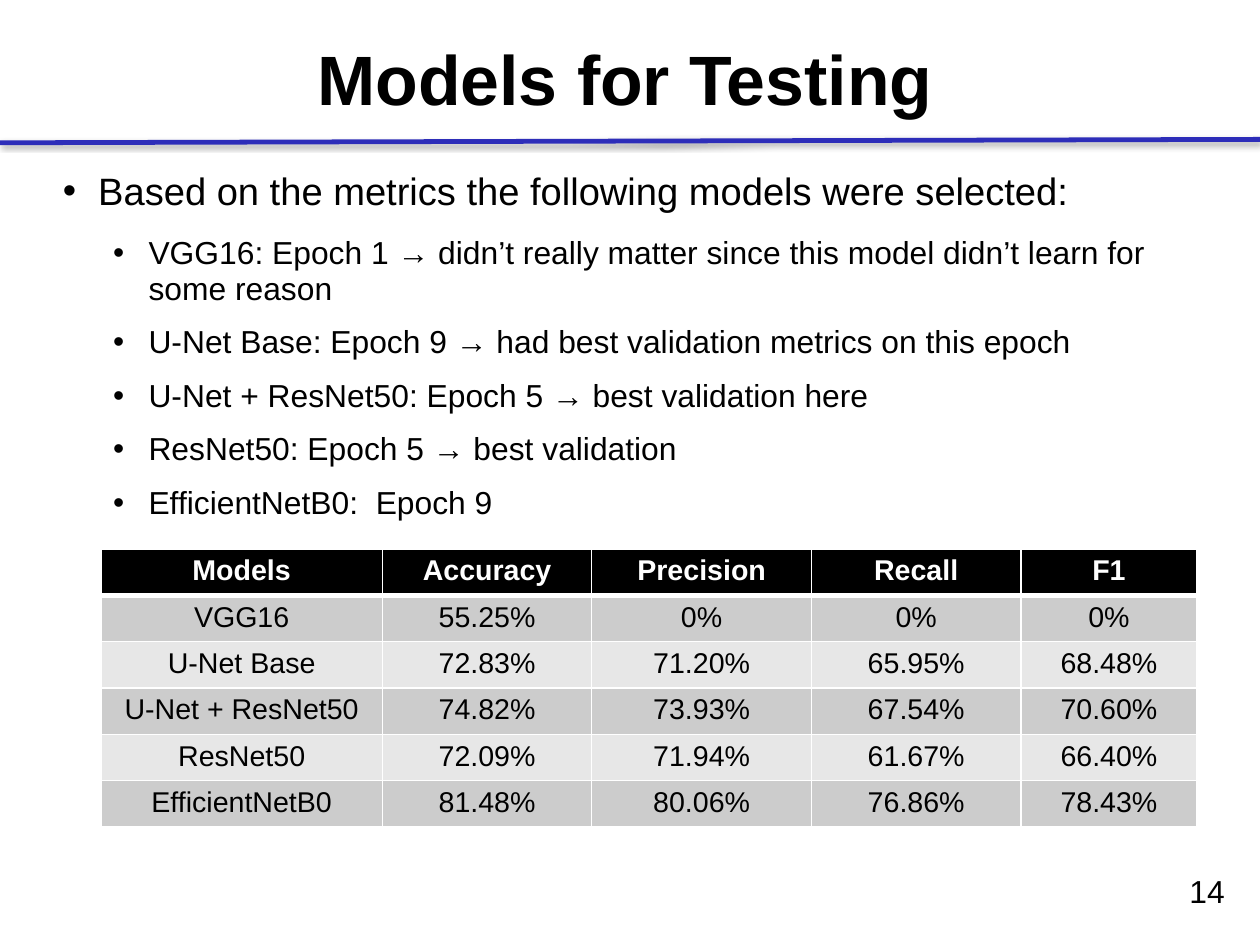
from dataclasses import dataclass

from lxml import etree
from pptx import Presentation
from pptx import util as u
from pptx.dml.color import RGBColor
from pptx.enum import shapes, text
from pptx.oxml import ns

TITLE = "Models for Testing"
PAGE_NUMBER = "14"
BULLETS = [
    (0, "Based on the metrics the following models were selected:"),
    (1, "VGG16: Epoch 1 → didn’t really matter since this model didn’t learn for some reason"),
    (1, "U-Net Base: Epoch 9 → had best validation metrics on this epoch"),
    (1, "U-Net + ResNet50: Epoch 5 → best validation here"),
    (1, "ResNet50: Epoch 5 → best validation"),
    (1, "EfficientNetB0:  Epoch 9"),
]
RESULTS = [
    ("Models", "Accuracy", "Precision", "Recall", "F1"),
    ("VGG16", "55.25%", "0%", "0%", "0%"),
    ("U-Net Base", "72.83%", "71.20%", "65.95%", "68.48%"),
    ("U-Net + ResNet50", "74.82%", "73.93%", "67.54%", "70.60%"),
    ("ResNet50", "72.09%", "71.94%", "61.67%", "66.40%"),
    ("EfficientNetB0", "81.48%", "80.06%", "76.86%", "78.43%"),
]

WIDTH, HEIGHT = u.Cm(28), u.Cm(21)
PERCENT_BOXES = {
    "title": (4.63, 0.18, 90.02, 15.48),
    "bullets": (4.99, 17.75, 89.93, 69.89),
    "table": (8.01, 58.12, 87, 29.38),
    "page_number": (93.08, 92.06, 5.44, 4.96),
}
RULE_PERCENTS = (0, 15.11, 100, 14.75)
COLUMN_WEIGHTS = (2.46, 1.83, 1.92, 1.83, 1.54)


@dataclass(frozen=True)
class Theme:
    font: str = "Arial"
    ink: str = "000000"
    paper: str = "FFFFFF"
    rule: str = "2D2DB9"
    bands: tuple = ("E7E7E7", "CCCCCC")
    title_size: int = 44
    bullet_sizes: tuple = (24, 20)
    number_size: int = 20
    table_size: int = 18
    rule_width: int = 3
    border: int = 1
    header_border: int = 3
    line_spacing: float = 0.93


THEME = Theme()
BULLET_LEVELS = [
    {"space_after": u.Pt(14.2), "indent": 0.31},
    {"space_after": u.Pt(11.4), "indent": 0.75},
]
HANGING = -0.31
CELL_TOP = u.Inches(0.07)


def place(percents):
    return [round(share * side / 100) for share, side in zip(percents, (WIDTH, HEIGHT) * 2)]


def apply(target, values):
    for name, value in values.items():
        setattr(target, name, value)


def add_element(parent, tag, **attributes):
    return etree.SubElement(parent, ns.qn(tag), attributes)


def write(paragraph, words, size, color=THEME.ink, bold=False, **layout):
    apply(paragraph, layout)
    run = paragraph.add_run()
    run.text = words
    apply(run.font, {"name": THEME.font, "size": u.Pt(size), "bold": bold})
    run.font.color.rgb = RGBColor.from_string(color)


def add_text_frame(slide, name, **values):
    frame = slide.shapes.add_textbox(*place(PERCENT_BOXES[name])).text_frame
    apply(frame, {"word_wrap": True, **values})
    return frame


def add_title(slide):
    frame = add_text_frame(
        slide, "title", vertical_anchor=text.MSO_ANCHOR.MIDDLE,
        margin_left=0, margin_right=0, margin_bottom=0, margin_top=u.Inches(0.04))
    write(frame.paragraphs[0], TITLE, THEME.title_size, bold=True,
          alignment=text.PP_ALIGN.CENTER)


def add_rule(slide):
    rule = slide.shapes.add_connector(shapes.MSO_CONNECTOR.STRAIGHT, *place(RULE_PERCENTS))
    rule.line.width = u.Pt(THEME.rule_width)
    rule.line.color.rgb = RGBColor.from_string(THEME.rule)
    effects = add_element(rule._element.spPr, "a:effectLst")
    shadow = add_element(effects, "a:outerShdw", blurRad=str(u.Pt(3.1)), dist=str(u.Pt(1.8)),
                         dir="5400000", rotWithShape="0")
    color = add_element(shadow, "a:srgbClr", val=THEME.ink)
    add_element(color, "a:alpha", val="35000")


def add_bullets(slide):
    frame = add_text_frame(slide, "bullets", margin_left=0, margin_right=0,
                           margin_bottom=0, margin_top=u.Inches(0.03))
    for index, (level, words) in enumerate(BULLETS):
        paragraph = frame.add_paragraph() if index else frame.paragraphs[0]
        style = BULLET_LEVELS[level]
        write(paragraph, words, THEME.bullet_sizes[level], level=level,
              line_spacing=THEME.line_spacing, space_after=style["space_after"])
        properties = paragraph._p.get_or_add_pPr()
        properties.set("marL", str(u.Inches(style["indent"])))
        properties.set("indent", str(u.Inches(HANGING)))
        add_element(add_element(properties, "a:buClr"), "a:srgbClr", val=THEME.ink)
        add_element(properties, "a:buFont", typeface=THEME.font)
        add_element(properties, "a:buChar", char="•")


def add_borders(cell, row):
    top = THEME.header_border if row == 1 else THEME.border
    bottom = THEME.header_border if row == 0 else THEME.border
    widths = {"L": THEME.border, "R": THEME.border, "T": top, "B": bottom}
    properties = cell._tc.get_or_add_tcPr()
    for position, (side, width) in enumerate(widths.items()):
        border = add_element(properties, f"a:ln{side}", w=str(u.Pt(width)))
        add_element(add_element(border, "a:solidFill"), "a:srgbClr", val=THEME.paper)
        properties.insert(position, border)


def add_results(slide):
    left, top, width, height = place(PERCENT_BOXES["table"])
    table = slide.shapes.add_table(len(RESULTS), len(COLUMN_WEIGHTS),
                                   left, top, width, height).table
    for column, weight in zip(table.columns, COLUMN_WEIGHTS):
        column.width = round(width * weight / sum(COLUMN_WEIGHTS))
    for row, values in enumerate(RESULTS):
        header = row == 0
        for column, value in enumerate(values):
            cell = table.cell(row, column)
            cell.margin_top = CELL_TOP
            cell.fill.solid()
            cell.fill.fore_color.rgb = RGBColor.from_string(
                THEME.ink if header else THEME.bands[row % 2])
            add_borders(cell, row)
            write(cell.text_frame.paragraphs[0], value, THEME.table_size,
                  THEME.paper if header else THEME.ink, header,
                  alignment=text.PP_ALIGN.CENTER, line_spacing=THEME.line_spacing)


def add_page_number(slide):
    frame = add_text_frame(slide, "page_number", auto_size=text.MSO_AUTO_SIZE.SHAPE_TO_FIT_TEXT)
    write(frame.paragraphs[0], PAGE_NUMBER, THEME.number_size,
          alignment=text.PP_ALIGN.CENTER, line_spacing=THEME.line_spacing)


def main():
    presentation = Presentation()
    presentation.slide_width = WIDTH
    presentation.slide_height = HEIGHT
    slide = presentation.slides.add_slide(presentation.slide_layouts[6])
    for add_part in (add_title, add_rule, add_bullets, add_results, add_page_number):
        add_part(slide)
    presentation.save("out.pptx")


if __name__ == "__main__":
    main()
